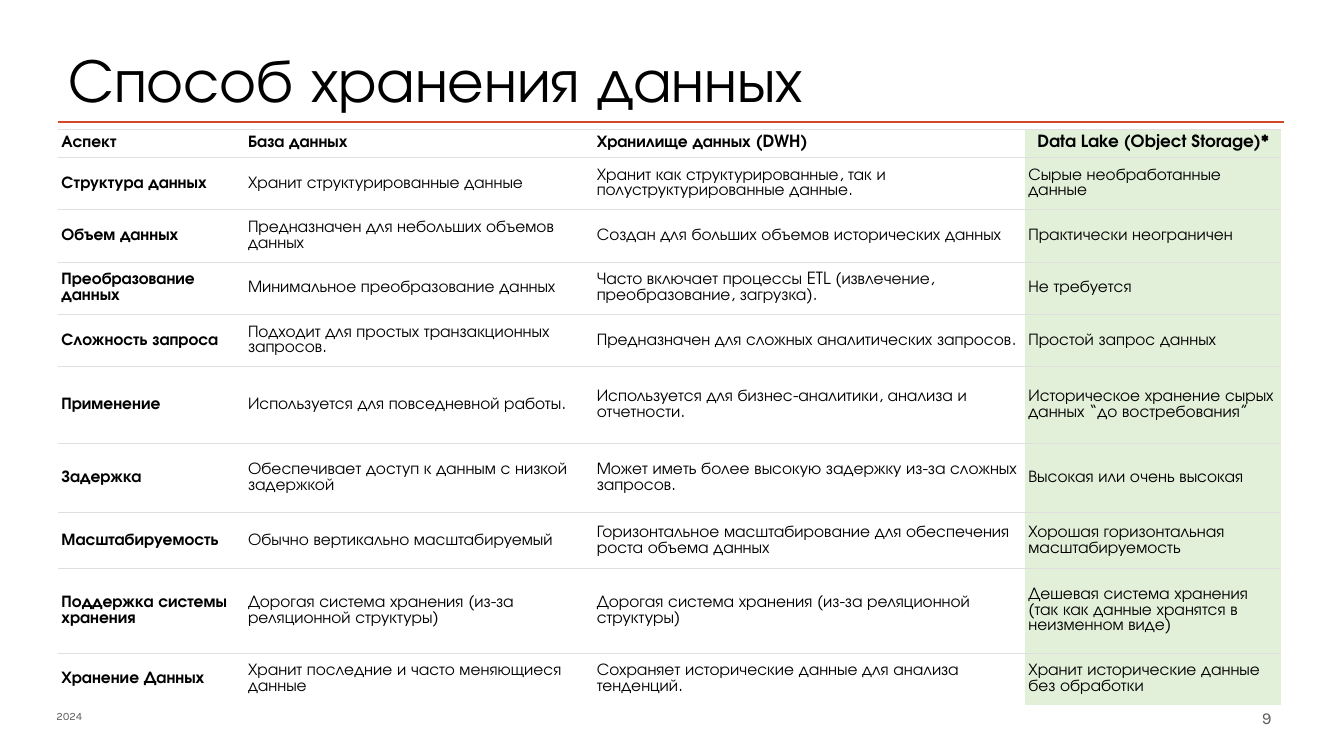
from lxml.etree import SubElement
from pptx import Presentation
from pptx.dml.color import RGBColor
from pptx.enum.shapes import MSO_CONNECTOR
from pptx.enum.text import MSO_ANCHOR, PP_ALIGN
from pptx.oxml import parse_xml
from pptx.oxml.ns import nsdecls, qn
from pptx.util import Inches, Pt

COLORS = {"ink": "000000", "gray": "595959", "rule": "D24726",
          "grid": "E0DEDE", "plain": "FFFFFF", "lake": "E2F0D9"}
HEAD, NOTE = "TeX Gyre Adventor", "Karla"
PLAIN_STYLE = "{2D5ABB26-0587-4C30-8999-92F81FD0307C}"
COLS = [1.85, 3.46, 4.28, 2.54]
HEIGHTS = [0.28, 0.52, 0.52, 0.52, 0.52, 0.76, 0.69, 0.55, 0.84, 0.52]
ROWS = [
    ("Аспект", "База данных", "Хранилище данных (DWH)", "Data Lake (Object Storage)*"),
    ("Структура данных", "Хранит структурированные данные",
     "Хранит как структурированные, так и полуструктурированные данные.",
     "Сырые необработанные данные"),
    ("Объем данных", "Предназначен для небольших объемов данных",
     "Создан для больших объемов исторических данных", "Практически неограничен"),
    ("Преобразование данных", "Минимальное преобразование данных",
     "Часто включает процессы ETL (извлечение, преобразование, загрузка).",
     "Не требуется"),
    ("Сложность запроса", "Подходит для простых транзакционных запросов.",
     "Предназначен для сложных аналитических запросов.", "Простой запрос данных"),
    ("Применение", "Используется для повседневной работы.",
     "Используется для бизнес-аналитики, анализа и отчетности.",
     "Историческое хранение сырых данных “до востребования”"),
    ("Задержка", "Обеспечивает доступ к данным с низкой задержкой",
     "Может иметь более высокую задержку из-за сложных запросов.",
     "Высокая или очень высокая"),
    ("Масштабируемость", "Обычно вертикально масштабируемый",
     "Горизонтальное масштабирование для обеспечения роста объема данных",
     "Хорошая горизонтальная масштабируемость"),
    ("Поддержка системы хранения",
     "Дорогая система хранения (из-за реляционной структуры)",
     "Дорогая система хранения (из-за реляционной структуры)",
     "Дешевая система хранения (так как данные хранятся в неизменном виде)"),
    ("Хранение Данных", "Хранит последние и часто меняющиеся данные",
     "Сохраняет исторические данные для анализа тенденций.",
     "Хранит исторические данные без обработки"),
]


def rgb(name):
    return RGBColor.from_string(COLORS[name])


def apply(target, values):
    for key, value in values.items():
        setattr(target, key, value)


def write(frame, text, font, size, color, bold=False, align=PP_ALIGN.LEFT):
    par = frame.paragraphs[0]
    par.alignment = align
    run = par.add_run()
    run.text = text
    apply(run.font, {"name": font, "size": Pt(size), "bold": bold})
    run.font.color.rgb = rgb(color)


def add_text(slide, box, *style, **extra):
    frame = slide.shapes.add_textbox(*map(Inches, box)).text_frame
    apply(frame, {"word_wrap": True, "vertical_anchor": MSO_ANCHOR.MIDDLE,
                  "margin_top": 0, "margin_bottom": 0})
    write(frame, *style, **extra)


def add_rule(slide, left, right, top):
    line = slide.shapes.add_connector(
        MSO_CONNECTOR.STRAIGHT, *map(Inches, (left, top, right, top)))
    line.line.color.rgb = rgb("rule")
    line.line.width = Pt(2)
    SubElement(line._element.spPr, qn("a:effectLst"))


def add_edges(cell, sides):
    props = cell._tc.get_or_add_tcPr()
    for spot, side in enumerate(sides):
        props.insert(spot, parse_xml(
            f'<a:ln{side} {nsdecls("a")} w="{Pt(0.75)}"><a:solidFill>'
            f'<a:srgbClr val="{COLORS["grid"]}"/></a:solidFill></a:ln{side}>'))


def fill_cell(cell, text, row, col):
    lake = col == len(COLS) - 1
    apply(cell, {"vertical_anchor": MSO_ANCHOR.MIDDLE,
                 "margin_left": Inches(0.03), "margin_right": Inches(0.03),
                 "margin_top": Inches(0.02), "margin_bottom": Inches(0.02)})
    cell.fill.solid()
    cell.fill.fore_color.rgb = rgb("lake" if lake else "plain")
    align = PP_ALIGN.CENTER if lake and row == 0 else PP_ALIGN.LEFT
    write(cell.text_frame, text, HEAD, 12, "ink", row == 0 or col == 0, align)
    add_edges(cell, "T" if row == len(ROWS) - 1 else "TB")


def add_grid(slide, left, top):
    size = map(Inches, (left, top, sum(COLS), sum(HEIGHTS)))
    table = slide.shapes.add_table(len(ROWS), len(COLS), *size).table
    apply(table, {"first_row": False, "horz_banding": False})
    table._tbl.tblPr.find(qn("a:tableStyleId")).text = PLAIN_STYLE
    for col, width in zip(table.columns, COLS):
        col.width = Inches(width)
    for row, height in zip(table.rows, HEIGHTS):
        row.height = Inches(height)
    for row, texts in enumerate(ROWS):
        for col, text in enumerate(texts):
            fill_cell(table.cell(row, col), text, row, col)


def main():
    deck = Presentation()
    apply(deck, {"slide_width": Inches(13.33), "slide_height": Inches(7.5)})
    slide = deck.slides.add_slide(deck.slide_layouts[6])
    # Heading
    add_rule(slide, 0.58, 12.74, 1.21)
    add_text(slide, (0.58, 0.52, 12.14, 0.51), "Способ хранения данных", HEAD, 44, "ink")
    # Footer
    add_text(slide, (0.46, 7.03, 3.58, 0.15), "2024", NOTE, 8, "gray")
    add_text(slide, (9.13, 6.98, 3.58, 0.29), "9", NOTE, 12, "gray", align=PP_ALIGN.RIGHT)
    # Comparison
    add_grid(slide, 0.58, 1.28)
    deck.save("out.pptx")


if __name__ == "__main__":
    main()
